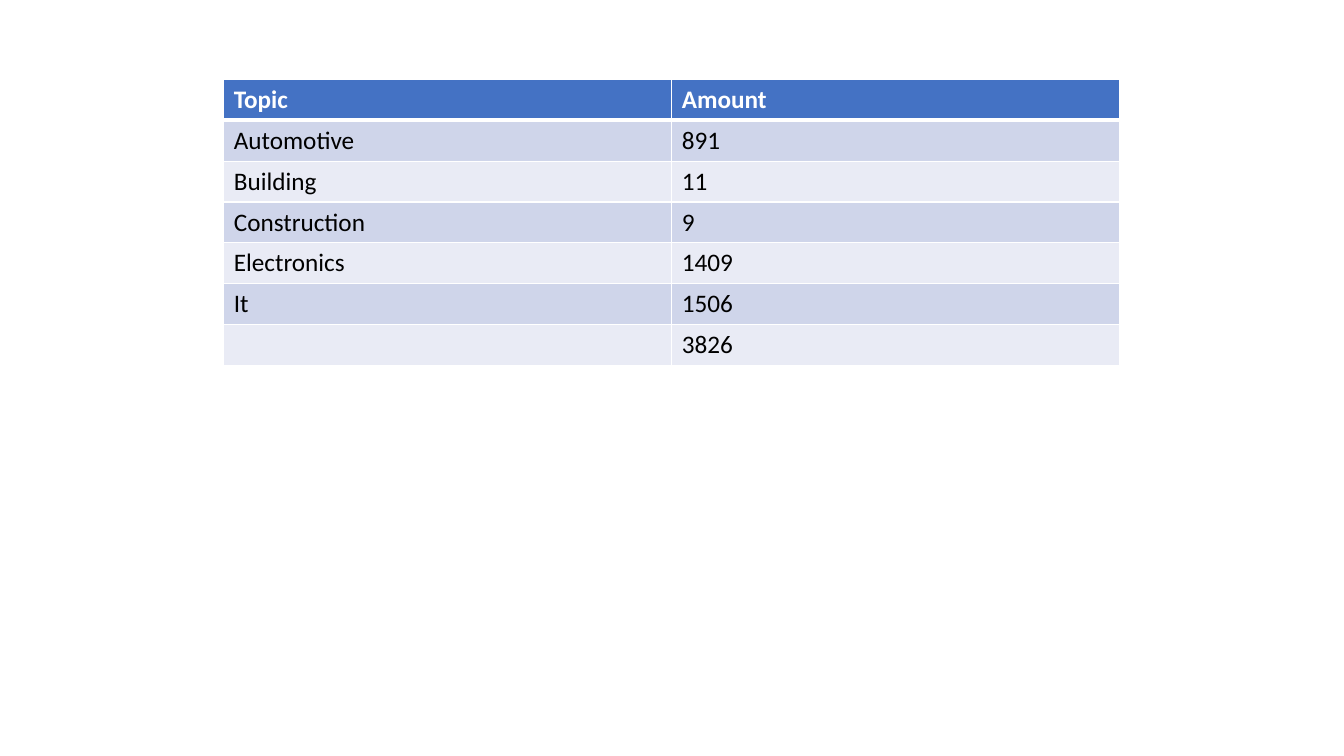
from lxml import etree
from pptx import Presentation
from pptx import util as u
from pptx.dml.color import RGBColor
from pptx.oxml import ns

WHITE, BLACK, HEADER = "FFFFFF", "000000", "4472C4"
BANDS = ("CFD5EA", "E9EBF5")
ROWS = [
    ("Topic", "Amount"),
    ("Automotive", "891"),
    ("Building", "11"),
    ("Construction", "9"),
    ("Electronics", "1409"),
    ("It", "1506"),
    ("", "3826"),
]


def color(value):
    return RGBColor.from_string(value)


def add_borders(cell, top, bottom):
    """Draw white cell edges; top and bottom are widths in points."""
    properties = cell._tc.get_or_add_tcPr()
    for side, width in (("L", 1), ("R", 1), ("T", top), ("B", bottom)):
        line = etree.SubElement(properties, ns.qn(f"a:ln{side}"), w=str(u.Pt(width)))
        fill = etree.SubElement(line, ns.qn("a:solidFill"))
        etree.SubElement(fill, ns.qn("a:srgbClr"), val=WHITE)


def fill_cell(cell, content, row):
    header = row == 0
    add_borders(cell, top=3 if row == 1 else 1, bottom=3 if header else 1)
    cell.fill.solid()
    cell.fill.fore_color.rgb = color(HEADER if header else BANDS[(row - 1) % 2])
    cell.text = content
    font = cell.text_frame.paragraphs[0].font
    font.name = "Calibri"
    font.size = u.Pt(18)
    font.bold = header
    font.color.rgb = color(WHITE if header else BLACK)


def add_topic_table(page, left, top, width, row_height):
    table = page.shapes.add_table(
        len(ROWS), len(ROWS[0]), left, top, width, row_height * len(ROWS)
    ).table
    for row, contents in enumerate(ROWS):
        for column, content in enumerate(contents):
            fill_cell(table.cell(row, column), content, row)


def main():
    deck = Presentation()
    deck.slide_width, deck.slide_height = u.Cm(33.87), u.Cm(19.05)
    page = deck.slides.add_slide(deck.slide_layouts[6])
    add_topic_table(page, u.Cm(5.64), u.Cm(2), u.Cm(22.58), u.Cm(1.03))
    deck.save("out.pptx")


if __name__ == "__main__":
    main()
